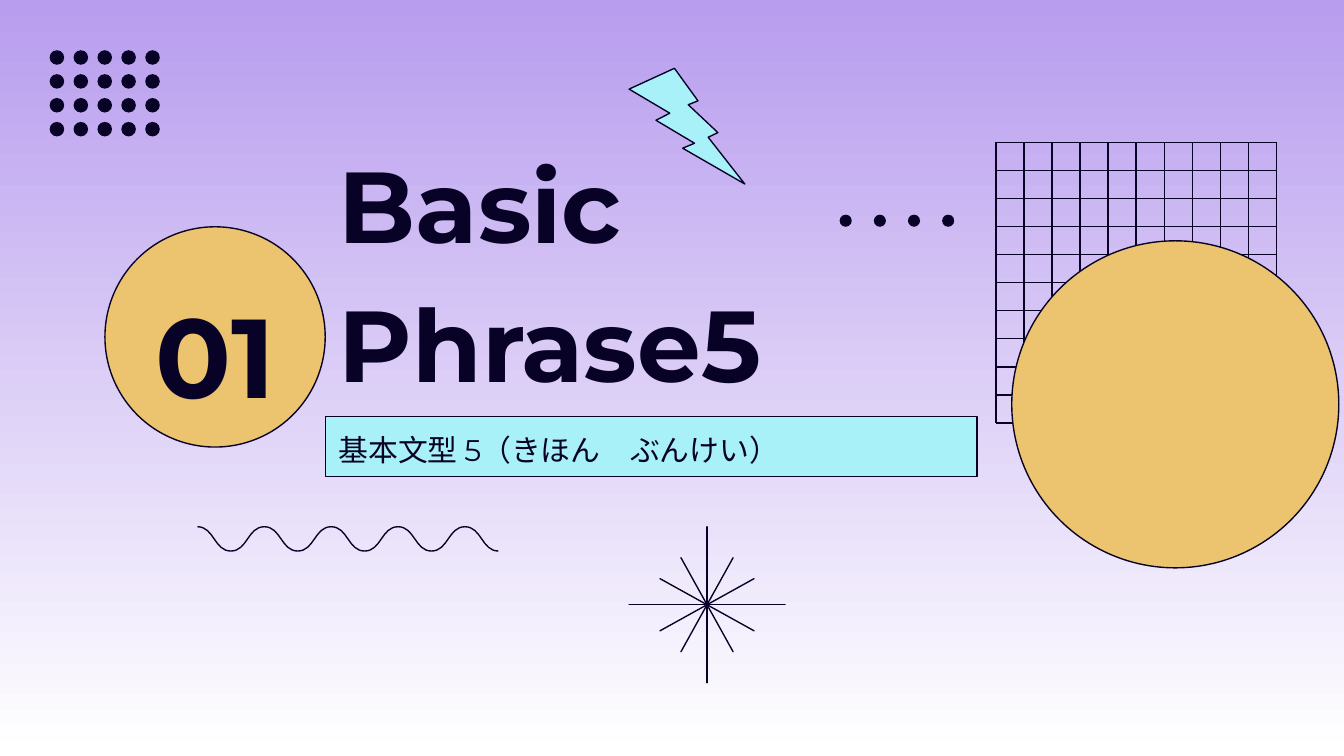
from dataclasses import dataclass

from lxml import etree
from pptx import Presentation
from pptx.dml.color import RGBColor
from pptx.enum import shapes, text
from pptx.oxml import ns
from pptx.util import Pt

Kind = shapes.MSO_SHAPE
Align = text.PP_ALIGN
Anchor = text.MSO_ANCHOR


@dataclass
class Theme:
    ink: str = "080326"
    gold: str = "ECC36F"
    aqua: str = "A9F1F9"
    top: str = "B89DEE"
    base: str = "FFFFFF"
    face: str = "Montserrat"
    title: float = 54
    number: float = 60
    body: float = 16
    line: float = 0.75


def rgb(code):
    return RGBColor.from_string(code)


class Deck:
    def __init__(self, theme):
        self.theme = theme
        self.file = Presentation()
        self.file.slide_width, self.file.slide_height = Pt(720), Pt(405)
        self.slide = self.file.slides.add_slide(self.file.slide_layouts[5])
        self.root = self.slide.shapes

    def back(self):
        fill = self.slide.background.fill
        fill.gradient()
        fill.gradient_angle = 270
        for stop, code in zip(fill.gradient_stops, (self.theme.top, self.theme.base)):
            stop.color.rgb = rgb(code)

    def group(self):
        return self.root.add_group_shape().shapes

    def paint(self, shape, fill=None, edge=True):
        shape.shadow.inherit = False
        if fill:
            shape.fill.solid()
            shape.fill.fore_color.rgb = rgb(fill)
        else:
            shape.fill.background()
        if edge:
            shape.line.color.rgb = rgb(self.theme.ink)
            shape.line.width = Pt(self.theme.line)
        else:
            shape.line.fill.background()
        return shape

    def shape(self, kind, x, y, w, h, fill=None, edge=True, home=None):
        home = self.root if home is None else home
        item = home.add_shape(kind, Pt(x), Pt(y), Pt(w), Pt(h))
        return self.paint(item, fill, edge)

    def words(self, shape, copy, size, bold=False, align=Align.LEFT, anchor=Anchor.MIDDLE):
        frame = shape.text_frame
        frame.word_wrap = True
        frame.auto_size = text.MSO_AUTO_SIZE.NONE
        frame.vertical_anchor = anchor
        frame.margin_left = frame.margin_right = Pt(7.2)
        frame.margin_top = frame.margin_bottom = Pt(7.2)
        frame.text = copy
        para = frame.paragraphs[0]
        para.alignment = align
        para.line_spacing = 1.15
        font = para.font
        font.name, font.size, font.bold = self.theme.face, Pt(size), bold
        font.color.rgb = rgb(self.theme.ink)

    def title(self, copy, x, y, w, h):
        item = self.root.title
        item.left, item.top, item.width, item.height = Pt(x), Pt(y), Pt(w), Pt(h)
        self.words(item, copy, self.theme.title, True, anchor=Anchor.BOTTOM)

    def label(self, copy, x, y, w, h):
        box = self.root.add_textbox(Pt(x), Pt(y), Pt(w), Pt(h))
        self.words(box, copy, self.theme.number, True, Align.CENTER)

    def dots(self, x, y, cols, rows, gap, size):
        home = self.group()
        for row in range(rows):
            for col in range(cols):
                self.shape(Kind.OVAL, x + col * gap, y + row * gap, size, size,
                           self.theme.ink, False, home)

    def line(self, home, x1, y1, x2, y2):
        rule = home.add_connector(shapes.MSO_CONNECTOR.STRAIGHT, Pt(x1), Pt(y1), Pt(x2), Pt(y2))
        rule.line.color.rgb = rgb(self.theme.ink)
        rule.line.width = Pt(self.theme.line)
        etree.SubElement(rule._element.spPr, ns.qn("a:effectLst"))

    def grid(self, x, y, side, count):
        home = self.group()
        for i in range(count + 1):
            step = i * side / count
            self.line(home, x + step, y, x + step, y + side)
            self.line(home, x, y + step, x + side, y + step)

    def star(self, x, y, size, inner, tilt):
        home = self.group()
        for span, turn in ((size, 0), (inner, tilt), (inner, -tilt)):
            inset = (size - span) / 2
            ray = self.shape(Kind.STAR_4_POINT, x + inset, y + inset, span, span, home=home)
            ray.adjustments[0] = 0
            ray.rotation = turn

    def wave(self, x, y, w, h, count):
        pen = self.root.build_freeform(Pt(x), Pt(y))
        pen.add_line_segments(
            [(Pt(x + w * i / count), Pt(y + h * (i % 2))) for i in range(1, count + 1)],
            close=False)
        item = self.paint(pen.convert_to_shape())
        route = item._element.spPr.find(".//" + ns.qn("a:path"))
        old = None
        for node in list(route):
            point = node[0]
            new = int(point.get("x")), int(point.get("y"))
            if old:
                node.tag = ns.qn("a:cubicBezTo")
                mid = (old[0] + new[0]) // 2
                for i, level in enumerate((old[1], new[1])):
                    knob = etree.Element(ns.qn("a:pt"), x=str(mid), y=str(level))
                    node.insert(i, knob)
            old = new


def main():
    theme = Theme()
    deck = Deck(theme)
    deck.back()
    deck.shape(Kind.OVAL, 56.2, 121.5, 118, 118, theme.gold)
    deck.title("Basic Phrase5", 174.3, 144.7, 349.2, 78.5)
    deck.label("01", 66, 144.7, 98.6, 78.5)
    bar = deck.shape(Kind.RECTANGLE, 174.3, 223.2, 349.2, 32.2, theme.aqua)
    deck.words(bar, "基本文型 5（きほん　ぶんけい）", theme.body)
    deck.wave(105.8, 282.2, 161.2, 13, 9)
    deck.shape(Kind.LIGHTNING_BOLT, 337, 36.6, 62, 62, theme.aqua)
    deck.star(337, 282.2, 83.6, 57.6, 29)
    deck.dots(26.6, 26.9, 5, 4, 12.8, 7.8)
    deck.grid(533.5, 76.3, 150.3, 10)
    deck.shape(Kind.OVAL, 542, 129, 175.2, 175.2, theme.gold)
    deck.dots(449.8, 115, 4, 1, 18.3, 6.5)
    deck.file.save("out.pptx")


if __name__ == "__main__":
    main()
